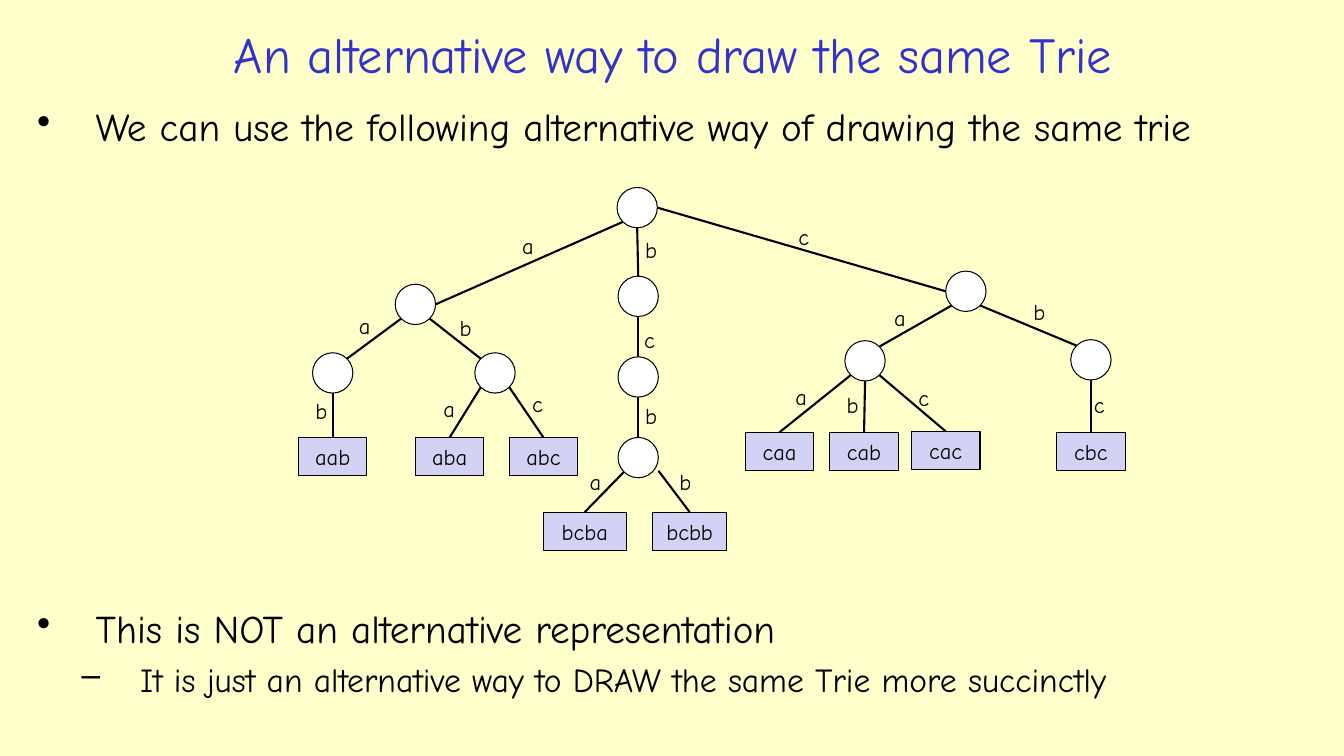
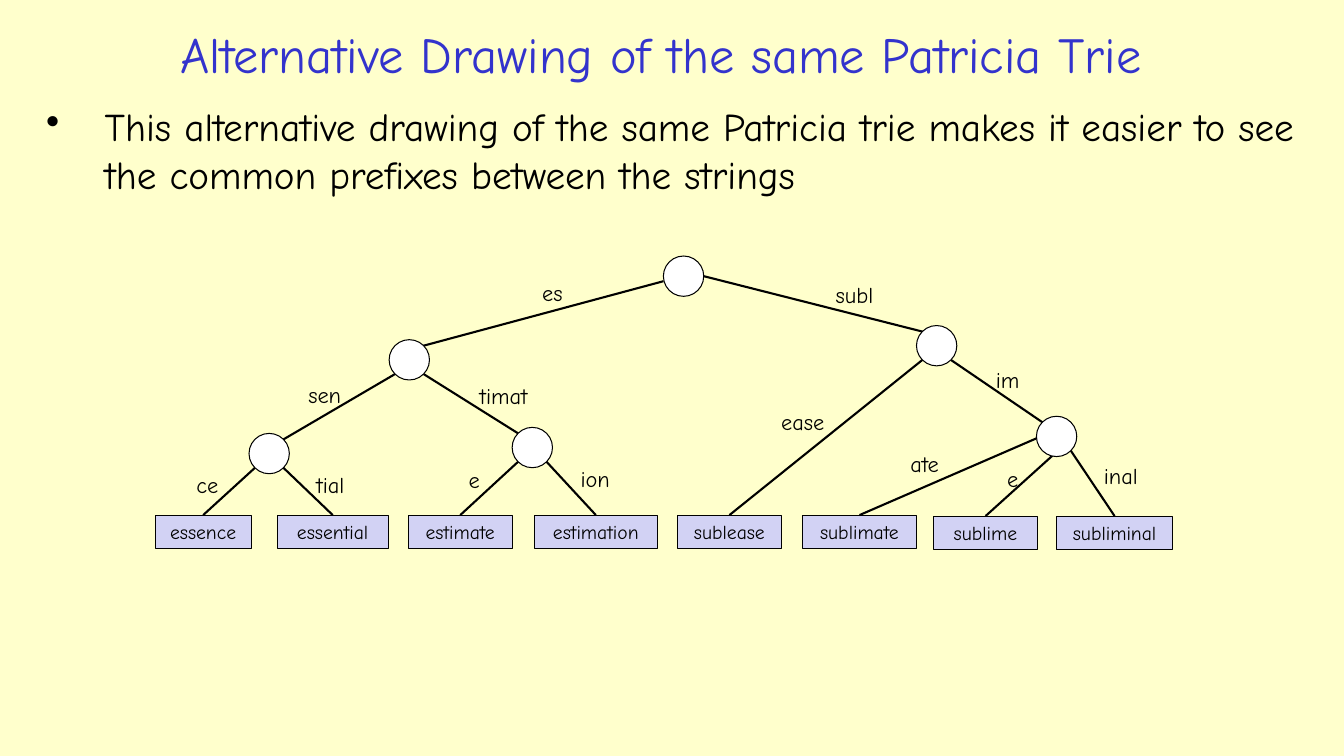
from lxml.etree import SubElement
from pptx import Presentation
from pptx.dml.color import RGBColor
from pptx.enum.shapes import MSO_CONNECTOR, MSO_SHAPE
from pptx.enum.text import MSO_ANCHOR, MSO_AUTO_SIZE, PP_ALIGN
from pptx.oxml.ns import qn
from pptx.util import Inches, Pt

FONT = "Comic Neue"
PAPER, TITLE, INK, LEAF, NODE = "FFFFCC", "3333CC", "000000", "D2D2F4", "FFFFFF"
NODE_SIZE = 0.4
LABEL_HEIGHT = 0.37
LABEL_WIDTHS = {
    "a": 0.32, "b": 0.34, "c": 0.32, "e": 0.32, "es": 0.43, "ce": 0.44, "im": 0.44,
    "ion": 0.5, "sen": 0.55, "tial": 0.55, "ate": 0.55, "inal": 0.61, "subl": 0.62,
    "ease": 0.67, "timat": 0.76,
}
# Where an edge meets a node, in radii from its centre
SITES = {
    "n": (0, -1), "s": (0, 1), "e": (1, 0), "w": (-1, 0),
    "ne": (0.7, -0.7), "nw": (-0.7, -0.7), "se": (0.7, 0.7), "sw": (-0.7, 0.7),
}
# Per bullet level: text size, left margin, bullet
BULLETS = [(28, 0.58, "•"), (24, 1.02, "–")]
HANGING = 0.58

# Nodes are keyed by their prefix: centre x, y
# Leaves are keyed by their word: left, top, width
# Edges are keyed by the lower end: site above, site below, label left, label top
SLIDES = [
    {
        "title": ("An alternative way to draw the same Trie", 0.42, 12.51),
        "bullets": [
            ((0.27, 0.97, 12.89, 0.7),
             [(0, "We can use the following alternative way of drawing the same trie")]),
            ((0.27, 5.95, 12.89, 1.24),
             [(0, "This is NOT an alternative representation"),
              (1, "It is just an alternative way to DRAW the same Trie more succinctly")]),
        ],
        "leaf_height": 0.38,
        "leaf_size": 16,
        "nodes": {
            "": (6.32, 2.06), "a": (4.12, 3.02), "b": (6.33, 2.94), "c": (9.58, 2.89),
            "aa": (3.3, 3.7), "ab": (4.91, 3.7), "bc": (6.33, 3.74), "ca": (8.58, 3.58),
            "cb": (10.82, 3.57), "bcb": (6.33, 4.54),
        },
        "leaves": {
            "aab": (2.96, 4.34, 0.68), "aba": (4.12, 4.34, 0.68), "abc": (5.05, 4.34, 0.68),
            "bcba": (5.39, 5.08, 0.82), "bcbb": (6.47, 5.08, 0.74),
            "caa": (7.39, 4.29, 0.68), "cab": (8.23, 4.29, 0.68), "cac": (9.04, 4.28, 0.68),
            "cbc": (10.48, 4.29, 0.68),
        },
        "edges": {
            "a": ("sw", "e", 5.08, 2.25), "b": ("s", "n", 6.3, 2.29),
            "c": ("e", "w", 7.82, 2.16), "aa": ("sw", "ne", 3.46, 3.05),
            "ab": ("se", "nw", 4.46, 3.07), "bc": ("s", "n", 6.29, 3.19),
            "bcb": ("s", "n", 6.3, 3.94), "ca": ("sw", "ne", 8.77, 2.97),
            "cb": ("se", "nw", 10.15, 2.91), "aab": ("s", "n", 3.03, 3.89),
            "aba": ("sw", "n", 4.3, 3.87), "abc": ("se", "n", 5.18, 3.82),
            "bcba": ("sw", "n", 5.75, 4.6), "bcbb": ((1, 0.65), "n", 6.64, 4.6),
            "caa": ("sw", "n", 7.79, 3.75), "cab": ("s", "n", 8.3, 3.83),
            "cac": ("se", "n", 9.01, 3.76), "cbc": ("s", "n", 10.75, 3.83),
        },
    },
    {
        "title": ("Alternative Drawing of the same Patricia Trie", 0.27, 12.57),
        "bullets": [
            ((0.36, 0.97, 12.81, 1.52),
             [(0, "This alternative drawing of the same Patricia trie makes it easier to see "
                  "the common prefixes between the strings")]),
        ],
        "leaf_height": 0.33,
        "leaf_size": 14,
        "nodes": {
            "": (6.78, 2.74), "es": (4.06, 3.57), "subl": (9.29, 3.43),
            "essen": (2.67, 4.5), "estimat": (5.28, 4.44), "sublim": (10.48, 4.33),
        },
        "leaves": {
            "essence": (1.54, 5.11, 0.95), "essential": (2.75, 5.11, 1.1),
            "estimate": (4.05, 5.11, 1.03), "estimation": (5.3, 5.11, 1.22),
            "sublease": (6.72, 5.11, 1.03), "sublimate": (7.96, 5.11, 1.13),
            "sublime": (9.26, 5.12, 1.03), "subliminal": (10.48, 5.12, 1.15),
        },
        "edges": {
            "es": ((-1, 0.25), "ne", 5.28, 2.72), "subl": ("e", "nw", 8.19, 2.74),
            "essen": ("sw", "ne", 2.96, 3.73), "estimat": ("se", "nw", 4.66, 3.74),
            "sublim": ("se", "nw", 9.78, 3.58), "essence": ("sw", "n", 1.85, 4.63),
            "essential": ("se", "n", 3.04, 4.63), "estimate": ("sw", "n", 4.55, 4.58),
            "estimation": ("se", "n", 5.66, 4.57), "sublease": ("sw", "n", 7.65, 4),
            "sublimate": ((-0.9, 0.05), "n", 8.93, 4.42),
            "sublime": ((-0.15, 0.9), "n", 9.89, 4.57),
            "subliminal": ("se", "n", 10.85, 4.54),
        },
    },
]


def colour(value):
    return RGBColor.from_string(value)


def inches(*lengths):
    return [Inches(length) for length in lengths]


def write(paragraph, text, size=16, color=INK, align=PP_ALIGN.LEFT):
    paragraph.alignment = align
    run = paragraph.add_run()
    run.text = text
    run.font.name = FONT
    run.font.size = Pt(size)
    run.font.color.rgb = colour(color)


def add_title(slide, text, left, width):
    title = slide.shapes.title
    title.left, title.top, title.width, title.height = inches(left, 0.15, width, 0.76)
    frame = title.text_frame
    frame.auto_size = MSO_AUTO_SIZE.NONE
    frame.vertical_anchor = MSO_ANCHOR.MIDDLE
    write(frame.paragraphs[0], text, size=36, color=TITLE, align=PP_ALIGN.CENTER)


def add_bullets(slide, box, items):
    frame = slide.shapes.add_textbox(*inches(*box)).text_frame
    frame.word_wrap = True
    for index, (level, text) in enumerate(items):
        paragraph = frame.add_paragraph() if index else frame.paragraphs[0]
        size, margin, bullet = BULLETS[level]
        paragraph.level = level
        if index:
            paragraph.space_before = Pt(5)
        properties = paragraph._p.get_or_add_pPr()
        properties.set("marL", str(Inches(margin)))
        properties.set("indent", str(Inches(-HANGING)))
        SubElement(properties, qn("a:buChar")).set("char", bullet)
        write(paragraph, text, size=size)


def add_outlined(slide, preset, box, fill):
    shape = slide.shapes.add_shape(preset, *inches(*box))
    shape.shadow.inherit = False
    shape.fill.solid()
    shape.fill.fore_color.rgb = colour(fill)
    shape.line.color.rgb = colour(INK)
    shape.line.width = Pt(0.75)
    return shape


def add_leaf(slide, word, box, size):
    leaf = add_outlined(slide, MSO_SHAPE.RECTANGLE, box, LEAF)
    frame = leaf.text_frame
    frame.margin_left = frame.margin_right = 0
    frame.word_wrap = True
    frame.vertical_anchor = MSO_ANCHOR.MIDDLE
    write(frame.paragraphs[0], word, size=size, align=PP_ALIGN.CENTER)
    return leaf


def site_point(centre, site):
    offsets = SITES[site] if isinstance(site, str) else site
    return [c + offset * NODE_SIZE / 2 for c, offset in zip(centre, offsets)]


def add_edge(slide, start, end):
    edge = slide.shapes.add_connector(MSO_CONNECTOR.STRAIGHT, *inches(*start, *end))
    edge.line.color.rgb = colour(INK)
    edge.line.width = Pt(1.5)
    SubElement(edge._element.spPr, qn("a:effectLst"))
    return edge


def add_label(slide, text, left, top):
    box = inches(left, top, LABEL_WIDTHS[text], LABEL_HEIGHT)
    frame = slide.shapes.add_textbox(*box).text_frame
    frame.word_wrap = False
    write(frame.paragraphs[0], text)


def add_trie(slide, nodes, leaves, edges, leaf_height, leaf_size):
    leaf_shapes = {
        word: add_leaf(slide, word, (*box, leaf_height), leaf_size)
        for word, box in leaves.items()
    }
    for child, (site_above, site_below, label_left, label_top) in edges.items():
        parent = max((p for p in nodes if p != child and child.startswith(p)), key=len)
        start = site_point(nodes[parent], site_above)
        if child in nodes:
            add_edge(slide, start, site_point(nodes[child], site_below))
        else:
            left, top, width = leaves[child]
            edge = add_edge(slide, start, (left + width / 2, top))
            edge.end_connect(leaf_shapes[child], 0)
        add_label(slide, child[len(parent):], label_left, label_top)
    for x, y in nodes.values():
        corner = (x - NODE_SIZE / 2, y - NODE_SIZE / 2)
        add_outlined(slide, MSO_SHAPE.OVAL, (*corner, NODE_SIZE, NODE_SIZE), NODE)


def main():
    deck = Presentation()
    deck.slide_width, deck.slide_height = inches(13.33, 7.5)
    background = deck.slide_master.background.fill
    background.solid()
    background.fore_color.rgb = colour(PAPER)
    for content in SLIDES:
        slide = deck.slides.add_slide(deck.slide_layouts[5])
        add_title(slide, *content["title"])
        for box, items in content["bullets"]:
            add_bullets(slide, box, items)
        add_trie(slide, content["nodes"], content["leaves"], content["edges"],
                 content["leaf_height"], content["leaf_size"])
    deck.save("out.pptx")


if __name__ == "__main__":
    main()
